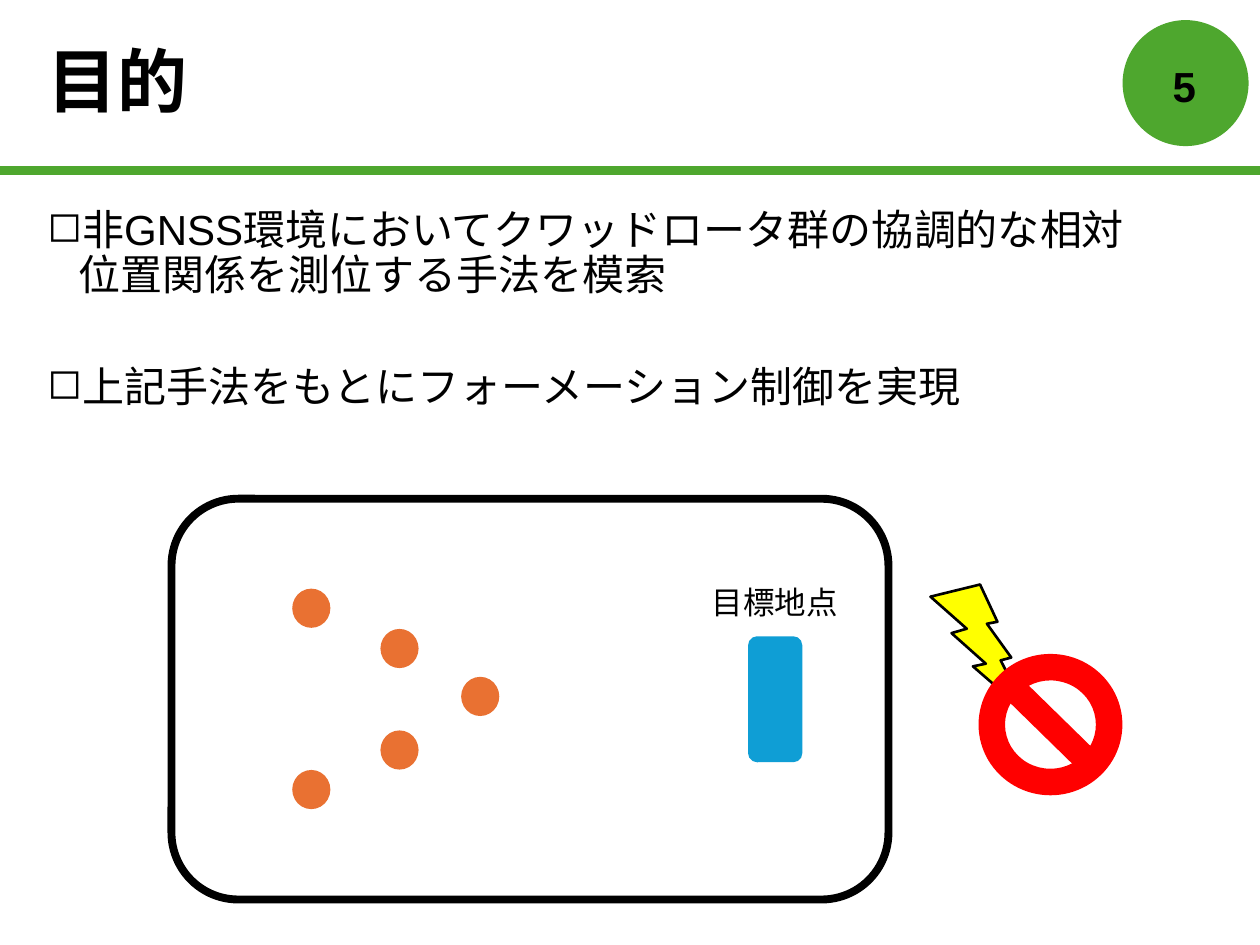
from lxml.etree import SubElement
from pptx import Presentation
from pptx.dml.color import RGBColor
from pptx.enum.shapes import MSO_SHAPE
from pptx.enum.text import MSO_ANCHOR, PP_ALIGN
from pptx.oxml.ns import qn
from pptx.util import Pt

BLACK = RGBColor(0x00, 0x00, 0x00)
GREEN = RGBColor(0x4E, 0xA7, 0x2E)
ORANGE = RGBColor(0xE9, 0x71, 0x32)
BLUE = RGBColor(0x0F, 0x9E, 0xD5)
YELLOW = RGBColor(0xFF, 0xFF, 0x00)
RED = RGBColor(0xFF, 0x00, 0x00)


class SlideBuilder:
    def __init__(self, page, font="Arial", color=BLACK):
        self.page = page
        self.font = font
        self.color = color

    def place(self, item, left, top, width, height):
        item.left, item.top = Pt(left), Pt(top)
        item.width, item.height = Pt(width), Pt(height)

    def add_spans(self, para, text, size, bold=False):
        """Add one run per line, with line breaks between them."""
        for number, line in enumerate(text.split("\n")):
            if number:
                para.add_line_break()
            span = para.add_run()
            span.text = line
            span.font.name = self.font
            span.font.size = Pt(size)
            span.font.bold = bold
            span.font.color.rgb = self.color

    def title(self, text, *bounds):
        title = self.page.shapes.title
        self.place(title, *bounds)
        title.text_frame.vertical_anchor = MSO_ANCHOR.MIDDLE
        para = title.text_frame.paragraphs[0]
        para.alignment = PP_ALIGN.LEFT
        para.line_spacing = 0.9
        self.add_spans(para, text, 40, bold=True)

    def text(self, text, size, *bounds, bold=False, align=PP_ALIGN.LEFT,
             anchor=MSO_ANCHOR.TOP, wrap=True):
        box = self.page.shapes.add_textbox(*map(Pt, bounds))
        box.text_frame.word_wrap = wrap
        box.text_frame.vertical_anchor = anchor
        para = box.text_frame.paragraphs[0]
        para.alignment = align
        self.add_spans(para, text, size, bold)

    def bullets(self, items, size, gap, *bounds):
        box = self.page.shapes.add_textbox(*map(Pt, bounds))
        frame = box.text_frame
        frame.word_wrap = True
        for number, item in enumerate(items):
            para = frame.add_paragraph() if number else frame.paragraphs[0]
            properties = para._p.get_or_add_pPr()
            properties.set("marL", str(Pt(18)))
            properties.set("indent", str(Pt(-18)))
            SubElement(properties, qn("a:buChar")).set("char", "◻")
            para.line_spacing = 0.9
            if number:
                para.space_before = Pt(gap)
            self.add_spans(para, item, size)

    def shape(self, kind, *bounds, fill=None, line=None, rotation=0, group=None):
        parent = group or self.page
        shape = parent.shapes.add_shape(kind, *map(Pt, bounds))
        shape.shadow.inherit = False
        shape.rotation = rotation
        if fill is None:
            shape.fill.background()
        else:
            shape.fill.solid()
            shape.fill.fore_color.rgb = fill
        if line is None:
            shape.line.fill.background()
        else:
            shape.line.color.rgb = self.color
            shape.line.width = Pt(line)

    def group(self):
        return self.page.shapes.add_group_shape()


def main():
    deck = Presentation()
    deck.slide_width, deck.slide_height = Pt(720), Pt(540)
    page = deck.slides.add_slide(deck.slide_layouts[5])
    builder = SlideBuilder(page)

    builder.shape(MSO_SHAPE.OVAL, 641.5, 11.5, 72, 72, fill=GREEN)
    builder.shape(MSO_SHAPE.RECTANGLE, 0, 95, 720, 5, fill=GREEN)
    builder.title("目的", 20, 13.7, 620.6, 69.8)
    builder.text("5", 24, 654.5, 34.6, 44.6, 28.8, bold=True,
                 align=PP_ALIGN.CENTER, anchor=MSO_ANCHOR.MIDDLE)
    builder.bullets(
        ["非GNSS環境においてクワッドロータ群の協調的な相対\n位置関係を測位する手法を模索",
         "上記手法をもとにフォーメーション制御を実現"],
        24, 38, 20, 116, 679, 136)

    builder.shape(MSO_SHAPE.ROUNDED_RECTANGLE, 98, 285, 409.7, 229, line=4.5)

    formation = builder.group()
    rotor_positions = [(263.5, 386.8), (217.4, 359.4), (217.4, 417.4),
                       (167, 336.4), (167, 440)]
    for left, top in rotor_positions:
        builder.shape(MSO_SHAPE.FLOWCHART_CONNECTOR, left, top, 21.8, 22.4,
                      fill=ORANGE, group=formation)

    builder.shape(MSO_SHAPE.ROUNDED_RECTANGLE, 427.5, 363.6, 31, 72, fill=BLUE)
    builder.text("目標地点", 18, 399.6, 329.8, 87, 28.8, wrap=False)

    blocked_signal = builder.group()
    builder.shape(MSO_SHAPE.LIGHTNING_BOLT, 527, 334.8, 67.7, 67.7, fill=YELLOW,
                  line=1.5, rotation=10.9, group=blocked_signal)
    builder.shape(MSO_SHAPE.NO_SYMBOL, 559.2, 373.7, 82.2, 80.8, fill=RED,
                  group=blocked_signal)

    deck.save("out.pptx")


if __name__ == "__main__":
    main()
